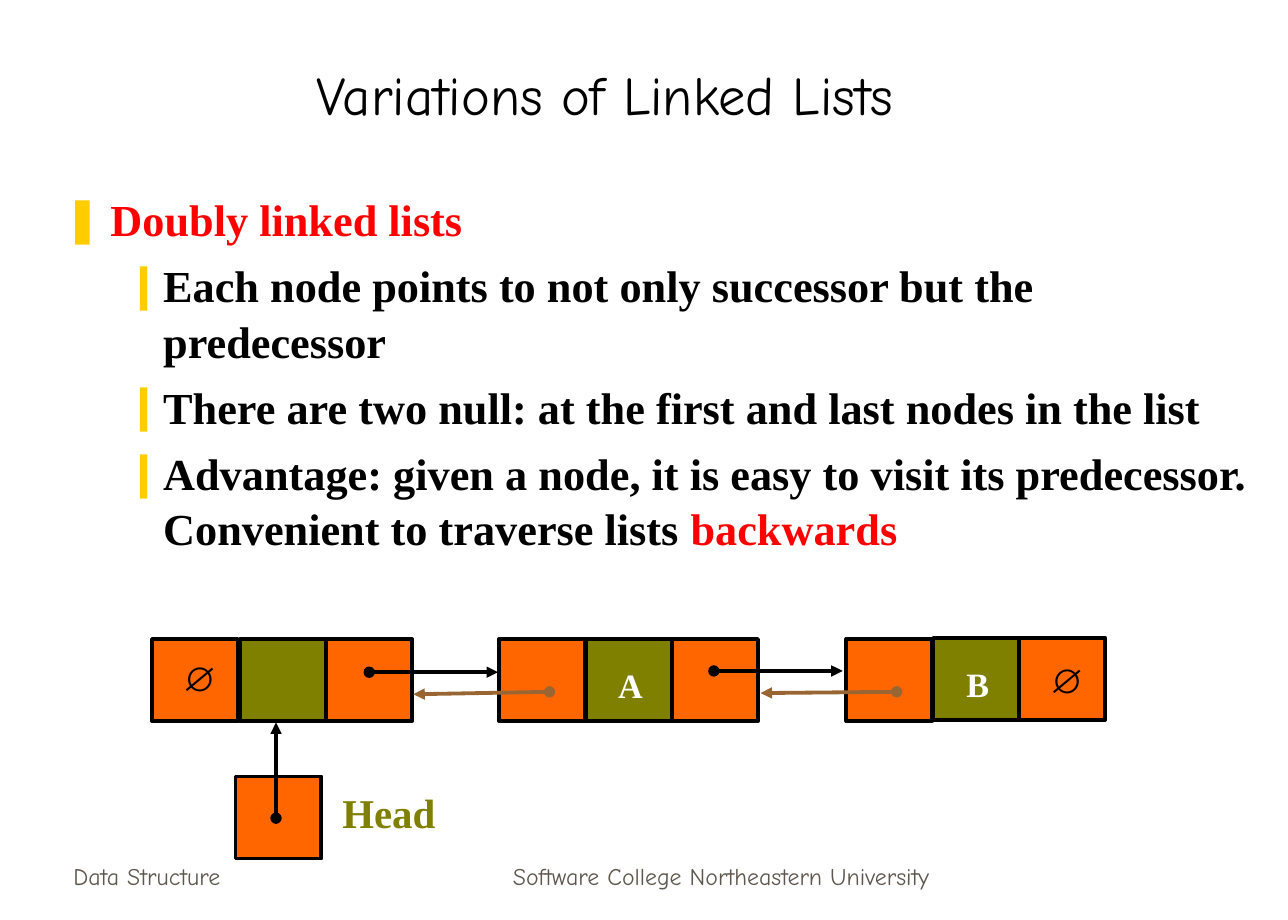
from lxml.etree import SubElement
from pptx import Presentation
from pptx.dml.color import RGBColor
from pptx.enum.shapes import MSO_CONNECTOR as Link, MSO_SHAPE as Form
from pptx.enum.text import MSO_ANCHOR as Anchor, MSO_AUTO_SIZE as Fit, PP_ALIGN as Align
from pptx.oxml.ns import qn
from pptx.util import Emu, Pt

PX = 9144
BLACK, RED, WHITE = "000000", "FF0000", "FFFFFF"
ORANGE, OLIVE, BROWN, GREY, GOLD = "FF6600", "808000", "996633", "5E574E", "FFCC00"
SERIF, COMIC = "Times New Roman", "Comic Neue"

TITLE = "Variations of Linked Lists"
POINTS = [
    (0, [("Doubly linked lists", RED)]),
    (1, [("Each node points to not only successor but the predecessor", BLACK)]),
    (1, [("There are two null: at the first and last nodes in the list", BLACK)]),
    (1, [("Advantage: given a node, it is easy to visit its predecessor. "
          "Convenient to traverse lists ", BLACK), ("backwards", RED)]),
]
BULLETS = [("❚", 38, 38), ("❙", 81, 31)]
CELL = (70, 67)
NODES = [
    [(124, 521, ORANGE), (196, 521, OLIVE), (266, 521, ORANGE)],
    [(407, 521, ORANGE), (478, 521, OLIVE), (548, 521, ORANGE)],
    [(690, 521, ORANGE), (761, 520, OLIVE), (831, 520, ORANGE)],
    [(192, 633, ORANGE)],
]
LINKS = [
    (301, 548, 406, 548, BLACK),
    (582, 547, 687, 547, BLACK),
    (448, 564, 337, 566, BROWN),
    (731, 564, 620, 565, BROWN),
    (225, 667, 225, 589, BLACK),
]
LABELS = [
    ("Head", (269, 637, 96, 50), dict(size=24, color=OLIVE)),
    ("A", (494, 537, 40, 44), dict(color=WHITE)),
    ("B", (778, 536, 38, 44), dict(color=WHITE)),
    ("∅", (139, 531, 42, 44), dict(font="Arial")),
    ("∅", (846, 533, 42, 44), dict(font="Arial")),
]
FOOTERS = [
    ("Data Structure", (50, 681, 219, 50), Align.LEFT),
    ("Software College Northeastern University", (359, 681, 458, 50), Align.CENTER),
]


def px(*nums):
    """Turn px lengths into EMU."""
    return [Emu(n * PX) for n in nums]


def rgb(code):
    """Turn a hex string into a colour."""
    return RGBColor.from_string(code)


def write(para, text, size=20, font=SERIF, color=BLACK, bold=True):
    """Add formatted text to a paragraph."""
    run = para.add_run()
    run.text = text
    face = run.font
    face.size, face.name, face.bold = Pt(size), font, bold
    face.color.rgb = rgb(color)


def place(shape, box):
    """Move a placeholder to a px box."""
    shape.left, shape.top, shape.width, shape.height = px(*box)
    shape.text_frame.auto_size = Fit.NONE
    return shape.text_frame


def label(slide, text, box, wrap=False, align=Align.CENTER, anchor=Anchor.TOP, **look):
    """Add a text box."""
    frame = slide.shapes.add_textbox(*px(*box)).text_frame
    frame.word_wrap, frame.vertical_anchor = wrap, anchor
    para = frame.paragraphs[0]
    para.alignment = align
    write(para, text, **look)


def mark(para, sign, left, hang):
    """Give a paragraph a gold bullet and a hanging indent."""
    props = para._p.get_or_add_pPr()
    props.set("marL", str(left * PX))
    props.set("indent", str(-hang * PX))
    SubElement(SubElement(props, qn("a:buClr")), qn("a:srgbClr"), val=GOLD)
    SubElement(props, qn("a:buChar"), char=sign)


def cell(slide, left, top, color):
    """Draw one cell of a node."""
    box = slide.shapes.add_shape(Form.RECTANGLE, *px(left, top, *CELL))
    box.shadow.inherit = False
    box.fill.solid()
    box.fill.fore_color.rgb = rgb(color)
    box.line.color.rgb = rgb(BLACK)
    box.line.width = Pt(2.25)


def arrow(slide, *ends, color):
    """Draw a pointer from a dot to an arrowhead."""
    line = slide.shapes.add_connector(Link.STRAIGHT, *px(*ends))
    line.line.color.rgb = rgb(color)
    line.line.width = Pt(2.25)
    stroke = line.line._get_or_add_ln()
    SubElement(stroke, qn("a:headEnd"), type="oval")
    SubElement(stroke, qn("a:tailEnd"), type="triangle")
    SubElement(line._element.spPr, qn("a:effectLst"))


def main():
    """Build the slide."""
    deck = Presentation()
    deck.slide_width, deck.slide_height = px(1050, 750)
    slide = deck.slides.add_slide(deck.slide_layouts[1])

    head = place(slide.shapes.title, (47, 25, 893, 83))
    head.vertical_anchor = Anchor.BOTTOM
    head.paragraphs[0].alignment = Align.CENTER
    write(head.paragraphs[0], TITLE, size=32, font=COMIC, bold=False)

    body = place(slide.placeholders[1], (42, 150, 992, 350))
    for i, (level, runs) in enumerate(POINTS):
        para = body.add_paragraph() if i else body.paragraphs[0]
        para.level = level
        mark(para, *BULLETS[level])
        para.line_spacing = 1.04
        para.space_before = Pt(6.5 if i else 0)
        for text, color in runs:
            write(para, text, size=26, color=color)

    for node in NODES:
        for spot in node:
            cell(slide, *spot)
    for *ends, color in LINKS:
        arrow(slide, *ends, color=color)
    for text, box, look in LABELS:
        label(slide, text, box, **look)
    for text, box, align in FOOTERS:
        label(slide, text, box, wrap=True, align=align, anchor=Anchor.BOTTOM,
              size=14, font=COMIC, color=GREY, bold=False)
    deck.save("out.pptx")


if __name__ == "__main__":
    main()
